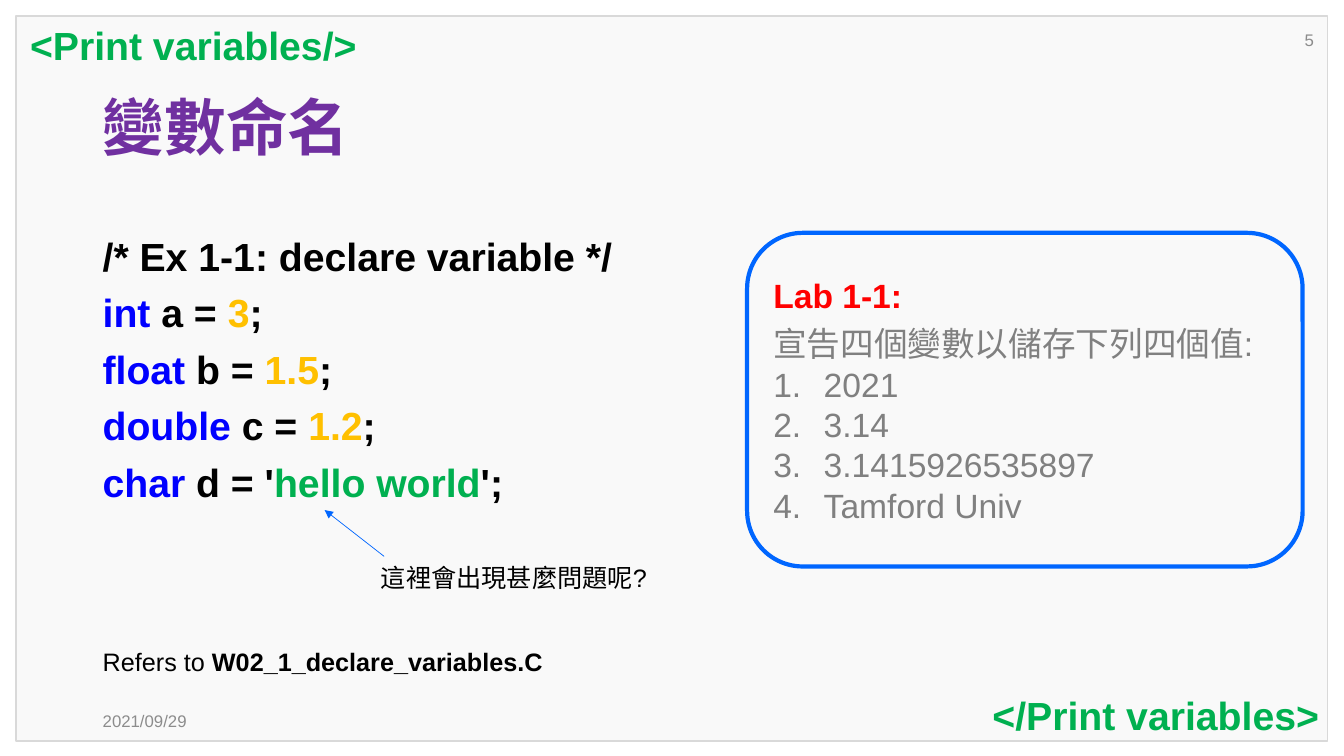
from lxml import etree
from pptx import Presentation
from pptx.dml.color import RGBColor
from pptx.enum.shapes import MSO_CONNECTOR, MSO_SHAPE
from pptx.enum.text import MSO_ANCHOR, MSO_AUTO_SIZE, PP_ALIGN
from pptx.oxml.ns import qn
from pptx.util import Inches, Pt

LEFT, RIGHT, JUSTIFY = PP_ALIGN.LEFT, PP_ALIGN.RIGHT, PP_ALIGN.JUSTIFY
TOP, MIDDLE = MSO_ANCHOR.TOP, MSO_ANCHOR.MIDDLE
BLACK, GREEN, BLUE, YELLOW = "000000", "00B050", "0000FF", "FFC000"
ACCENT, GRAY, PALE_GRAY = "0066FF", "808080", "8C8C8C"
MARGIN = 0.92


def color(hex_value):
    return RGBColor.from_string(hex_value)


def write(shape, paragraphs, size=18, align=LEFT, anchor=TOP, wrap=True,
          spacing=None, before=0):
    frame = shape.text_frame
    frame.word_wrap = wrap
    frame.auto_size = MSO_AUTO_SIZE.NONE
    frame.vertical_anchor = anchor
    for index, runs in enumerate(paragraphs):
        paragraph = frame.paragraphs[0] if index == 0 else frame.add_paragraph()
        paragraph.alignment = align
        paragraph.space_before = Pt(before)
        if spacing:
            paragraph.line_spacing = spacing
        for text, hex_value, bold in runs:
            run = paragraph.add_run()
            run.text = text
            run.font.name = "Arial"
            run.font.size = Pt(size)
            run.font.bold = bold
            run.font.color.rgb = color(hex_value)
    return frame


prs = Presentation()
prs.slide_width, prs.slide_height = Inches(13.33), Inches(7.5)
slide = prs.slides.add_slide(prs.slide_layouts[5])
shapes = slide.shapes

title = shapes.title
title.left, title.top = Inches(MARGIN), Inches(0.74)
title.width, title.height = Inches(5.42), Inches(1.11)
write(title, [[("變數命名", "7030A0", True)]], size=44, anchor=MIDDLE, spacing=0.9)

panel = shapes.add_shape(MSO_SHAPE.RECTANGLE, Inches(0.16), Inches(0.16),
                         Inches(13.01), Inches(7.19))
panel.shadow.inherit = False
panel.fill.solid()
panel.fill.fore_color.rgb = color("F9F9F9")
panel.line.color.rgb = color("D9D9D9")
panel.line.width = Pt(1)
title.element.addprevious(panel.element)

code = [[("/* Ex 1-1: declare variable */", BLACK, True)]]
for keyword, name, value, value_color, ending in [
    ("int", " a = ", "3", YELLOW, ";"),
    ("float", " b = ", "1.5", YELLOW, ";"),
    ("double", " c = ", "1.2", YELLOW, ";"),
    ("char", " d = '", "hello world", GREEN, "';"),
]:
    code.append([(keyword, BLUE, True), (name, BLACK, True),
                 (value, value_color, True), (ending, BLACK, True)])

reference = [("Refers to ", BLACK, False), ("W02_1_declare_variables.C", BLACK, True)]
tag_format = dict(size=28, wrap=False)
footer_format = dict(size=12, anchor=MIDDLE)

for box, paragraphs, text_format in [
    ((MARGIN, 6.95, 1.05, 0.4), [[("2021/09/29", PALE_GRAY, False)]], footer_format),
    ((12.71, 0.2, 0.42, 0.4), [[("5", PALE_GRAY, False)]],
     dict(footer_format, align=RIGHT)),
    ((0.2, 0.16, 3.48, 0.57), [[("<Print variables/>", GREEN, True)]], tag_format),
    ((9.7, 6.81, 3.48, 0.57), [[("</Print variables>", GREEN, True)]],
     dict(tag_format, align=RIGHT)),
    ((MARGIN, 2.31, 6.2, 4.3), code,
     dict(size=28, align=JUSTIFY, spacing=0.9, before=10)),
    ((MARGIN, 6.36, 4.61, 0.4), [reference], dict(wrap=False)),
    ((3.68, 5.53, 2.87, 0.4), [[("這裡會出現甚麼問題呢?", BLACK, False)]],
     dict(wrap=False)),
]:
    write(shapes.add_textbox(*map(Inches, box)), paragraphs, **text_format)

lab = shapes.add_shape(MSO_SHAPE.ROUNDED_RECTANGLE, Inches(7.41), Inches(2.31),
                       Inches(5.51), Inches(3.31))
lab.shadow.inherit = False
lab.fill.background()
lab.line.color.rgb = color(ACCENT)
lab.line.width = Pt(3)
values = ["2021", "3.14", "3.1415926535897", "Tamford Univ"]
task = [[("Lab 1-1:", "FF0000", True)]]
task += [[(text, GRAY, False)] for text in ["宣告四個變數以儲存下列四個值:"] + values]
lab_frame = write(lab, task, size=24, align=JUSTIFY, anchor=MIDDLE)
lab_frame.paragraphs[0].space_after = Pt(6)
for paragraph in lab_frame.paragraphs[2:]:
    properties = paragraph._p.get_or_add_pPr()
    properties.set("marL", str(Inches(0.5)))
    properties.set("indent", str(-Inches(0.5)))
    etree.SubElement(properties, qn("a:buFont"), typeface="+mj-lt")
    etree.SubElement(properties, qn("a:buAutoNum"), type="arabicPeriod")

pointer = shapes.add_connector(MSO_CONNECTOR.STRAIGHT, Inches(3.81), Inches(5.52),
                               Inches(3.22), Inches(5.06))
pointer.line.color.rgb = color(ACCENT)
pointer.line.width = Pt(0.5)
etree.SubElement(pointer.line._get_or_add_ln(), qn("a:tailEnd"), type="triangle")
etree.SubElement(pointer._element.spPr, qn("a:effectLst"))

prs.save("out.pptx")
